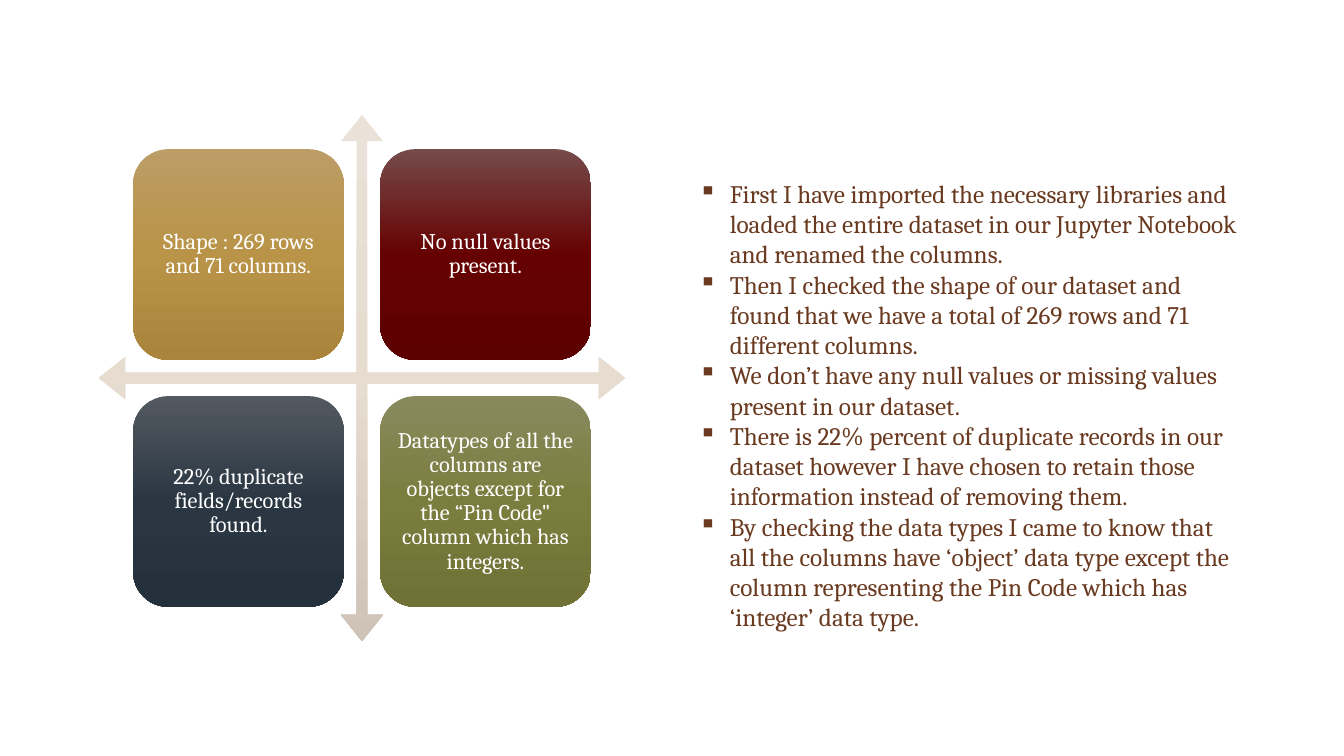
from copy import deepcopy
from dataclasses import dataclass

from lxml.etree import SubElement
from pptx import Presentation
from pptx.dml.color import RGBColor
from pptx.enum.shapes import MSO_SHAPE
from pptx.enum.text import MSO_ANCHOR, MSO_AUTO_SIZE, PP_ALIGN
from pptx.oxml.ns import qn
from pptx.shapes.autoshape import Shape
from pptx.slide import Slide
from pptx.text.text import _Paragraph
from pptx.util import Inches, Pt

Gradient = tuple[str, str, str]


@dataclass(frozen=True)
class Theme:
    """Colours and type of the slide."""

    font: str = "Cambria"
    card_size: int = 16
    step_size: int = 18
    card_text: str = "FFFFFF"
    step_text: str = "6A3A20"
    axes: Gradient = ("EAE2D8", "E6DCCF", "CEC3B6")
    gold: Gradient = ("BC9D66", "B99347", "AA843A")
    maroon: Gradient = ("764B4B", "660101", "5C0000")
    navy: Gradient = ("535960", "2A3743", "24313D")
    olive: Gradient = ("888A5E", "7B7D3E", "6F7135")


@dataclass(frozen=True)
class Finding:
    """One quadrant of the matrix."""

    text: str
    colors: Gradient


THEME = Theme()
MATRIX_LEFT, MATRIX_TOP, MATRIX_SIZE = 0.98, 1.14, 5.22
CARD_LEFT, CARD_TOP, CARD_SIZE, CARD_PITCH = 1.32, 1.48, 2.09, 2.45

FINDINGS = (
    Finding("Shape : 269 rows and 71 columns.", THEME.gold),
    Finding("No null values present.", THEME.maroon),
    Finding("22% duplicate fields/records found.", THEME.navy),
    Finding(
        "Datatypes of all the columns are objects except for the “Pin Code\" "
        "column which has integers.",
        THEME.olive,
    ),
)

STEPS = (
    "First I have imported the necessary libraries and loaded the entire dataset "
    "in our Jupyter Notebook and renamed the columns.",
    "Then I checked the shape of our dataset and found that we have a total of "
    "269 rows and 71 different columns.",
    "We don’t have any null values or missing values present in our dataset.",
    "There is 22% percent of duplicate records in our dataset however I have "
    "chosen to retain those information instead of removing them.",
    "By checking the data types I came to know that all the columns have ‘object’ "
    "data type except the column representing the Pin Code which has ‘integer’ "
    "data type.",
)


def style_text(paragraph: _Paragraph, size: int, color: str) -> None:
    """Set the font of a paragraph."""
    paragraph.font.name = THEME.font
    paragraph.font.size = Pt(size)
    paragraph.font.color.rgb = RGBColor.from_string(color)


def add_gradient_shape(
    slide: Slide, kind: MSO_SHAPE, left: float, top: float, size: float, colors: Gradient
) -> Shape:
    """Add a square borderless shape shaded from top to bottom."""
    shape = slide.shapes.add_shape(
        kind, Inches(left), Inches(top), Inches(size), Inches(size)
    )
    shape.shadow.inherit = False
    shape.line.fill.background()
    shape.fill.gradient()
    shape.fill.gradient_angle = 270
    stop_list = next(shape.element.iter(qn("a:gsLst")))
    stop_list.insert(1, deepcopy(stop_list[0]))
    for stop, color, position in zip(shape.fill.gradient_stops, colors, (0, 0.5, 1)):
        stop.color.rgb = RGBColor.from_string(color)
        stop.position = position
    return shape


def add_axes(slide: Slide) -> None:
    """Add the four-headed arrow behind the cards."""
    axes = add_gradient_shape(
        slide, MSO_SHAPE.QUAD_ARROW, MATRIX_LEFT, MATRIX_TOP, MATRIX_SIZE, THEME.axes
    )
    for index, ratio in enumerate((0.02, 0.04, 0.05)):
        axes.adjustments[index] = ratio


def add_card(slide: Slide, finding: Finding, row: int, column: int) -> None:
    """Add one finding at its place in the matrix."""
    card = add_gradient_shape(
        slide,
        MSO_SHAPE.ROUNDED_RECTANGLE,
        CARD_LEFT + column * CARD_PITCH,
        CARD_TOP + row * CARD_PITCH,
        CARD_SIZE,
        finding.colors,
    )
    frame = card.text_frame
    frame.word_wrap = True
    frame.vertical_anchor = MSO_ANCHOR.MIDDLE
    frame.margin_left = frame.margin_right = Inches(0.07)
    frame.margin_top = frame.margin_bottom = Inches(0.07)
    paragraph = frame.paragraphs[0]
    paragraph.text = finding.text
    paragraph.alignment = PP_ALIGN.CENTER
    paragraph.line_spacing = 0.9
    style_text(paragraph, THEME.card_size, THEME.card_text)


def add_bullet(paragraph: _Paragraph) -> None:
    """Give a paragraph a square bullet and a hanging indent."""
    properties = paragraph._p.get_or_add_pPr()
    properties.set("marL", str(Inches(0.31)))
    properties.set("indent", str(Inches(-0.31)))
    SubElement(properties, qn("a:buChar")).set("char", "▪")


def add_steps(slide: Slide) -> None:
    """Add the bulleted account of the checks."""
    steps = slide.shapes.add_textbox(
        Inches(6.83), Inches(1.72), Inches(5.58), Inches(4.64)
    )
    frame = steps.text_frame
    frame.word_wrap = True
    frame.auto_size = MSO_AUTO_SIZE.SHAPE_TO_FIT_TEXT
    for index, step in enumerate(STEPS):
        paragraph = frame.add_paragraph() if index else frame.paragraphs[0]
        paragraph.text = step
        add_bullet(paragraph)
        style_text(paragraph, THEME.step_size, THEME.step_text)


def main() -> None:
    """Build and save the slide."""
    presentation = Presentation()
    presentation.slide_width = Inches(13.33)
    presentation.slide_height = Inches(7.5)
    slide = presentation.slides.add_slide(presentation.slide_layouts[6])
    add_axes(slide)
    for index, finding in enumerate(FINDINGS):
        add_card(slide, finding, *divmod(index, 2))
    add_steps(slide)
    presentation.save("out.pptx")


if __name__ == "__main__":
    main()
